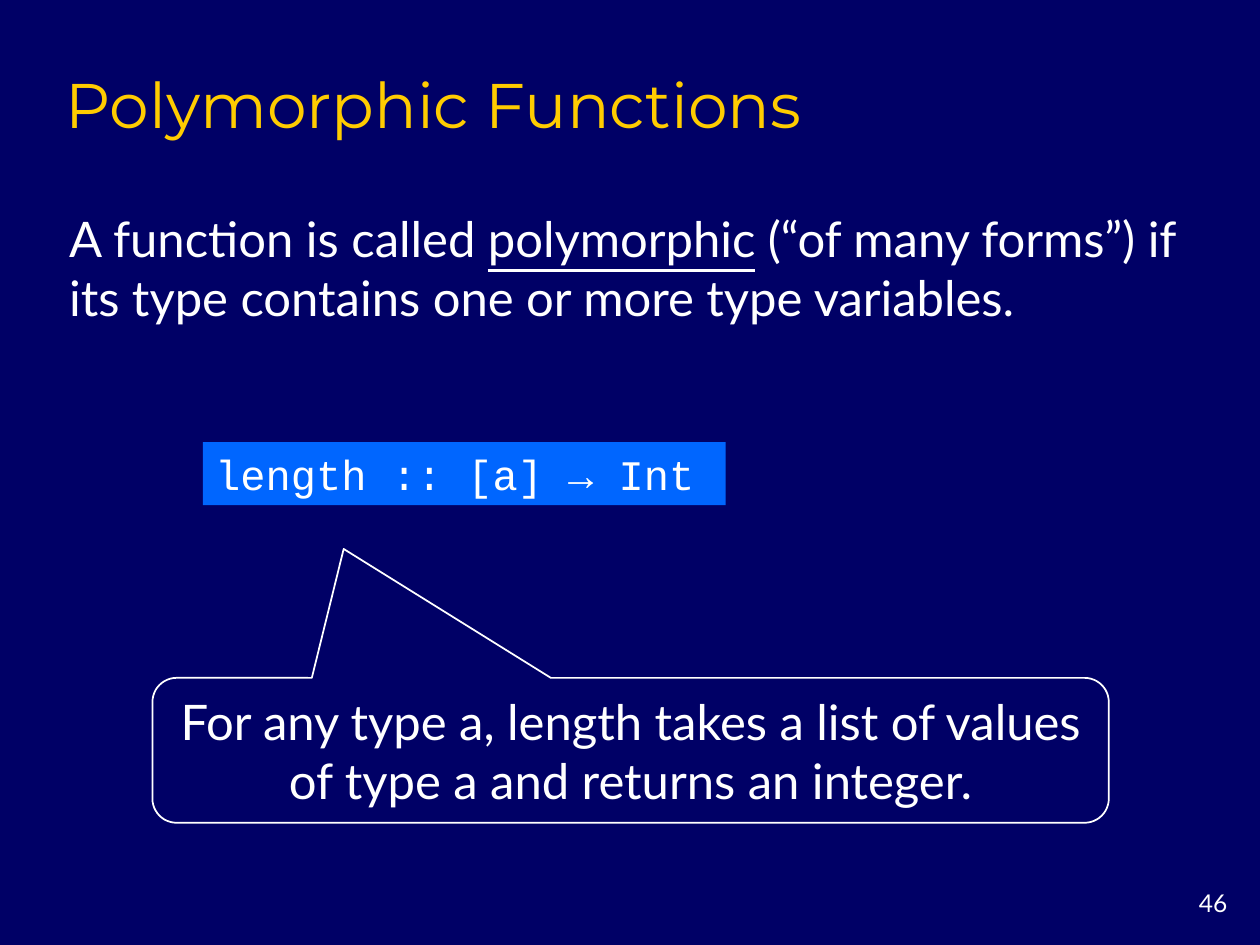
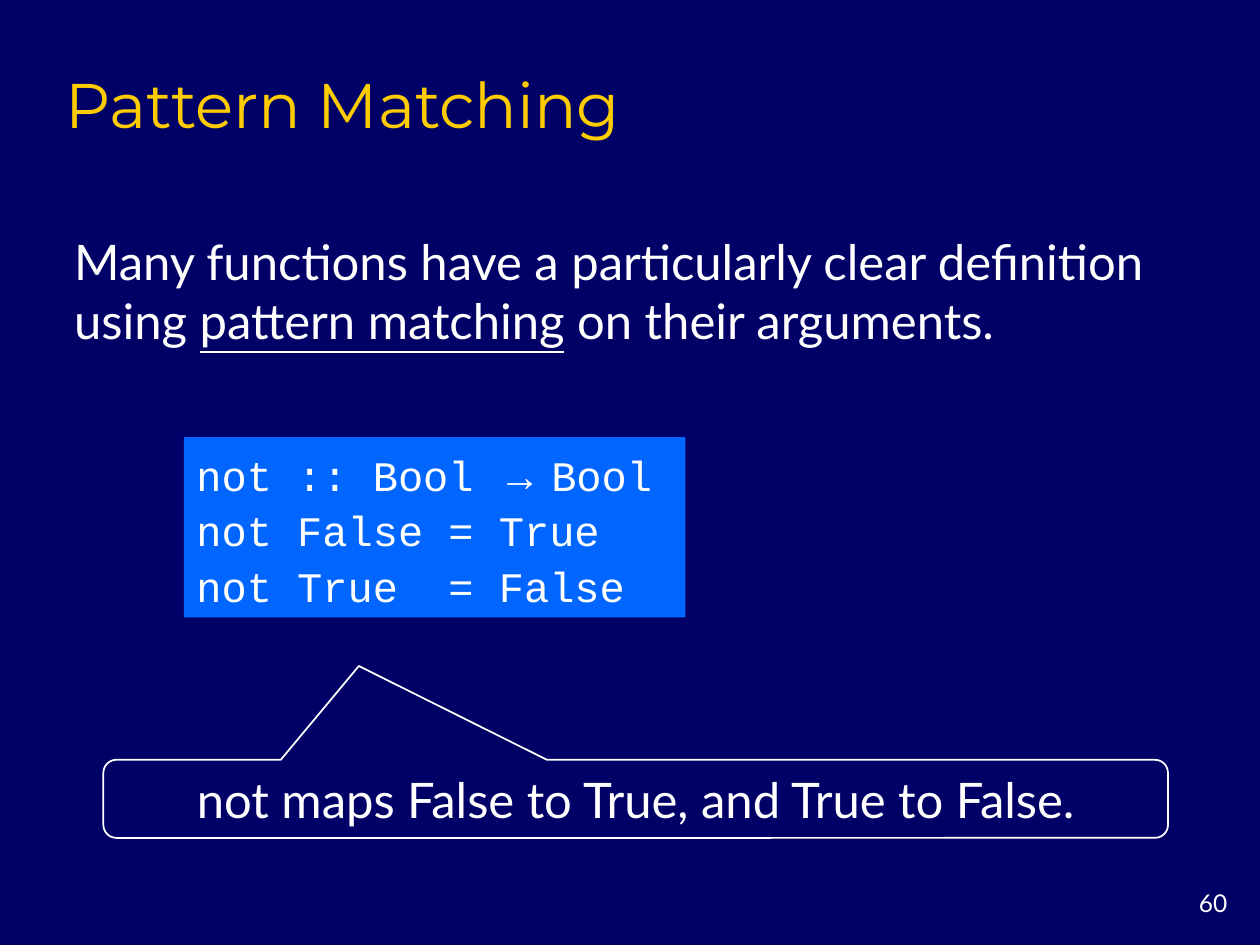
from dataclasses import dataclass
from typing import NamedTuple

import pptx
import pptx.dml.color
import pptx.enum.shapes
import pptx.enum.text
import pptx.util

RGBColor = pptx.dml.color.RGBColor
Align = pptx.enum.text.PP_ALIGN
Anchor = pptx.enum.text.MSO_ANCHOR
AutoSize = pptx.enum.text.MSO_AUTO_SIZE
ShapeType = pptx.enum.shapes.MSO_SHAPE

NAVY = RGBColor(0x00, 0x00, 0x66)
BLUE = RGBColor(0x00, 0x66, 0xFF)
GOLD = RGBColor(0xFF, 0xCC, 0x00)
WHITE = RGBColor(0xFF, 0xFF, 0xFF)

SLIDE_WIDTH = pptx.util.Inches(10)
SLIDE_HEIGHT = pptx.util.Inches(7.5)
COLUMN = SLIDE_WIDTH / 100
ROW = SLIDE_HEIGHT / 75
TITLE_ONLY = 5


class Box(NamedTuple):
    left: float
    top: float
    width: float
    height: float

    def place(self) -> tuple[int, int, int, int]:
        return (round(self.left * COLUMN), round(self.top * ROW),
                round(self.width * COLUMN), round(self.height * ROW))


class Run(NamedTuple):
    text: str
    underline: bool = False
    font: str | None = None


class TextStyle(NamedTuple):
    font: str
    size: float
    color: RGBColor = WHITE
    align: Align = Align.LEFT
    anchor: Anchor = Anchor.MIDDLE
    auto_size: AutoSize = AutoSize.SHAPE_TO_FIT_TEXT


TITLE = TextStyle("Montserrat", 36, GOLD, anchor=Anchor.BOTTOM, auto_size=AutoSize.NONE)
BODY = TextStyle("Lato", 28)
CODE = TextStyle("Courier New", 24)
REMARK = TextStyle("Lato", 28, align=Align.CENTER)
NUMBER = TextStyle("Lato", 14, align=Align.RIGHT, anchor=Anchor.TOP, auto_size=AutoSize.NONE)

TITLE_BOX = Box(4.2, 4.2, 85, 7.5)
NUMBER_BOX = Box(91.7, 70, 6.7, 3.3)
CALLOUT_CORNER = 0.167

Lines = list[list[Run]]


@dataclass
class Lesson:
    number: int
    title: str
    statement: list[Run]
    statement_box: Box
    code: Lines
    code_box: Box
    code_spacing: float
    remark: str
    remark_box: Box
    pointer: tuple[float, float]


LESSONS = [
    Lesson(
        number=46,
        title="Polymorphic Functions",
        statement=[
            Run("A function is called "),
            Run("polymorphic", underline=True),
            Run(" (“of many forms”) if its type contains one or more type variables."),
        ],
        statement_box=Box(4.5, 16.1, 91.4, 10.3),
        code=[[Run("length :: [a] → Int")]],
        code_box=Box(16.1, 35.1, 41.5, 5),
        code_spacing=1.0,
        remark="For any type a, length takes a list of values of type a and returns an integer.",
        remark_box=Box(12.1, 53.8, 75.9, 11.5),
        pointer=(-0.3, -1.39),
    ),
    Lesson(
        number=60,
        title="Pattern Matching",
        statement=[
            Run("Many functions have a particularly clear definition using "),
            Run("pattern matching", underline=True),
            Run(" on their arguments."),
        ],
        statement_box=Box(4.9, 17.9, 90.3, 10.3),
        code=[
            [Run("not :: Bool "), Run("→ ", font="Times New Roman"), Run("Bool")],
            [Run("not False = True")],
            [Run("not True  = False")],
        ],
        code_box=Box(14.6, 34.7, 39.8, 14.3),
        code_spacing=1.1,
        remark="not maps False to True, and True to False.",
        remark_box=Box(8.2, 60.3, 84.5, 6.2),
        pointer=(-0.26, -1.7),
    ),
]


def write(shape, lines: Lines, style: TextStyle, spacing: float = 1.0) -> None:
    frame = shape.text_frame
    frame.word_wrap = True
    frame.auto_size = style.auto_size
    frame.vertical_anchor = style.anchor
    for index, runs in enumerate(lines):
        paragraph = frame.add_paragraph() if index else frame.paragraphs[0]
        paragraph.alignment = style.align
        paragraph.line_spacing = spacing
        paragraph.font.name = style.font
        paragraph.font.size = pptx.util.Pt(style.size)
        paragraph.font.color.rgb = style.color
        for item in runs:
            run = paragraph.add_run()
            run.text = item.text
            if item.underline:
                run.font.underline = True
            if item.font:
                run.font.name = item.font


def add_text(slide, box: Box, runs: list[Run], style: TextStyle) -> None:
    write(slide.shapes.add_textbox(*box.place()), [runs], style)


def add_title(slide, text: str) -> None:
    title = slide.shapes.title
    title.left, title.top, title.width, title.height = TITLE_BOX.place()
    write(title, [[Run(text)]], TITLE)


def add_code(slide, box: Box, lines: Lines, spacing: float) -> None:
    shape = slide.shapes.add_shape(ShapeType.RECTANGLE, *box.place())
    shape.shadow.inherit = False
    shape.fill.solid()
    shape.fill.fore_color.rgb = BLUE
    shape.line.fill.background()
    write(shape, lines, CODE, spacing)


def add_callout(slide, box: Box, text: str, pointer: tuple[float, float]) -> None:
    shape = slide.shapes.add_shape(ShapeType.ROUNDED_RECTANGULAR_CALLOUT, *box.place())
    shape.shadow.inherit = False
    shape.fill.background()
    shape.line.color.rgb = WHITE
    shape.line.width = pptx.util.Pt(1)
    for index, value in enumerate((*pointer, CALLOUT_CORNER)):
        shape.adjustments[index] = value
    write(shape, [[Run(text)]], REMARK)


def add_lesson(presentation, lesson: Lesson) -> None:
    slide = presentation.slides.add_slide(presentation.slide_layouts[TITLE_ONLY])
    add_text(slide, NUMBER_BOX, [Run(str(lesson.number))], NUMBER)
    add_title(slide, lesson.title)
    add_text(slide, lesson.statement_box, lesson.statement, BODY)
    add_code(slide, lesson.code_box, lesson.code, lesson.code_spacing)
    add_callout(slide, lesson.remark_box, lesson.remark, lesson.pointer)


def main() -> None:
    presentation = pptx.Presentation()
    presentation.slide_width = SLIDE_WIDTH
    presentation.slide_height = SLIDE_HEIGHT
    background = presentation.slide_master.background.fill
    background.solid()
    background.fore_color.rgb = NAVY
    for lesson in LESSONS:
        add_lesson(presentation, lesson)
    presentation.save("out.pptx")


if __name__ == "__main__":
    main()
